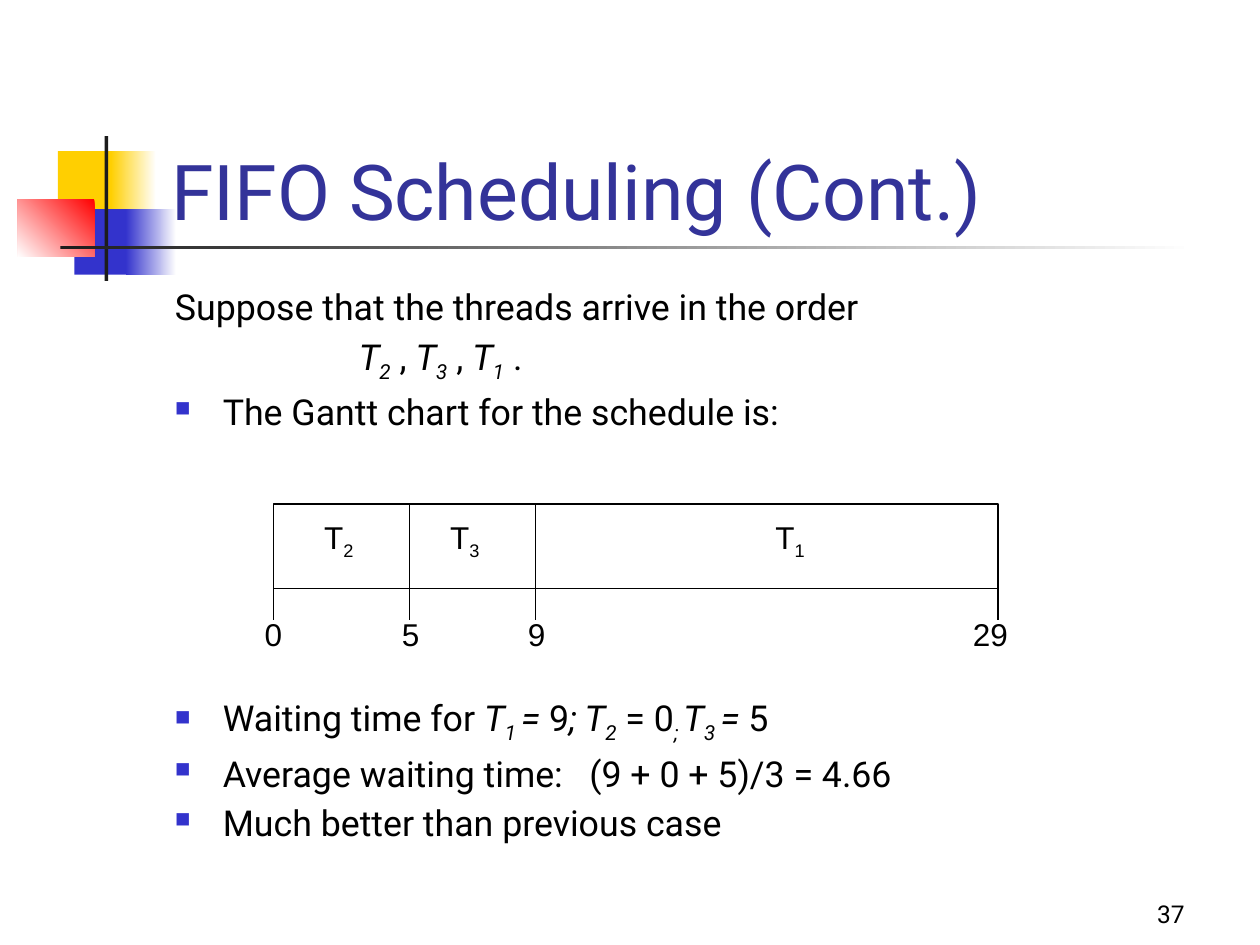
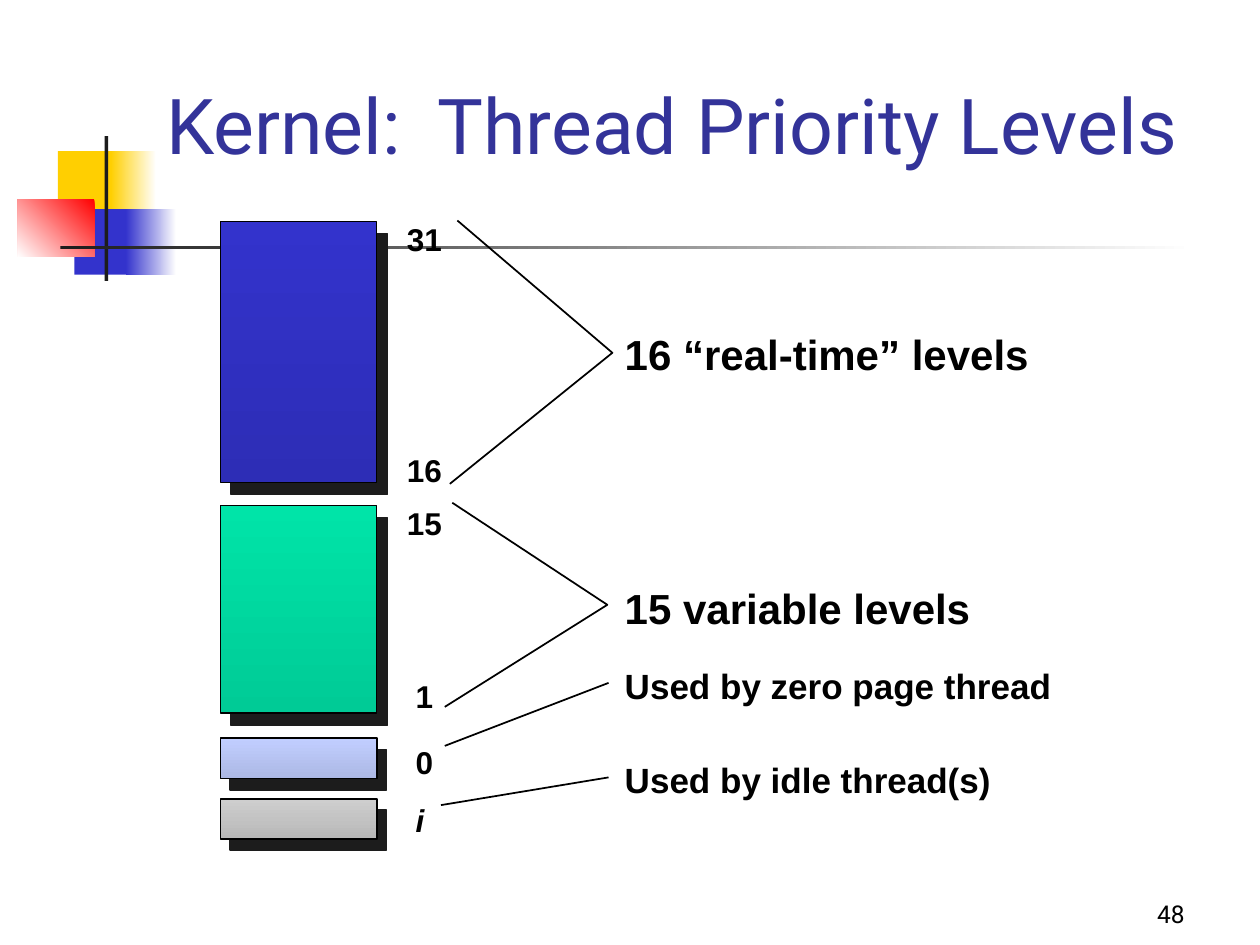
from pptx import Presentation
from pptx.dml.color import RGBColor
from pptx.enum.shapes import MSO_CONNECTOR as CONNECTOR, MSO_SHAPE as SHAPE
from pptx.enum.text import MSO_ANCHOR as ANCHOR, PP_ALIGN as ALIGN
from pptx.oxml.ns import qn
from pptx.util import Pt
from lxml.etree import SubElement

PX = 9144  # EMU per px, 100 px to the inch
COLORS = {
    "white": "FFFFFF", "black": "000000", "ink": "1C1C1C",
    "title": "333399", "blue": "3333CC", "yellow": "FFCF01", "red": "FF0000",
    "deep_blue": "2D2DB6", "green": "00E4A8", "deep_green": "00CB96",
    "sky": "C1CEFF", "deep_sky": "ACB8E4", "gray": "CECECE", "deep_gray": "B8B8B8",
}
ALIGNS = {"left": ALIGN.LEFT, "center": ALIGN.CENTER, "right": ALIGN.RIGHT}
ANCHORS = {"top": ANCHOR.TOP, "middle": ANCHOR.MIDDLE, "bottom": ANCHOR.BOTTOM}


def rgb(name):
    return RGBColor.from_string(COLORS[name])


def write(paragraph, text, font="Arial", size=18, color="black", bold=False, align="left"):
    """Fill a paragraph with a string or (text, flags) runs: i italic, s subscript."""
    paragraph.alignment = ALIGNS[align]
    for words, flags in [(text, "")] if isinstance(text, str) else text:
        run = paragraph.add_run()
        run.text = words
        run.font.name = font
        run.font.size = Pt(size)
        run.font.bold = bold
        run.font.italic = "i" in flags
        run.font.color.rgb = rgb(color)
        if "s" in flags:
            run.font._element.set("baseline", "-25000")


def thread(number, tail="", flags="i"):
    return [("T", flags), (f"{number}{tail}", flags + "s")]


class Deck:
    """Holds the shared style and the slide being built."""

    heading_font = "Roboto"

    def __init__(self, presentation):
        self.presentation = presentation
        self.slide = None

    def new_slide(self, title, number, title_at, title_anchor):
        self.slide = self.presentation.slides.add_slide(self.presentation.slide_layouts[6])
        self.decoration()
        self.text(title_at, title, font=self.heading_font, size=44,
                  color="title", anchor=title_anchor)
        self.text((742, 692, 208, 50), number, font=self.heading_font, size=14,
                  align="right", anchor="bottom")

    def decoration(self):
        self.box((46, 120, 48, 52), "yellow")
        self.box((88, 120, 36, 52), ("yellow", "white"), angle=0)
        self.box((59, 166, 46, 52), "blue")
        self.box((100, 166, 40, 52), ("blue", "white"), angle=0)
        self.box((14, 158, 61, 46), ("red", "white"), angle=135)
        self.box((83, 108, 3, 115), "ink")
        self.box((48, 195, 900, 3), ("ink", "white"), angle=0)

    def box(self, at, fill, angle=90, line=None, shadow=None):
        """A rectangle; fill is a colour or a pair running along the clockwise angle."""
        shape = self.slide.shapes.add_shape(SHAPE.RECTANGLE, *(value * PX for value in at))
        shape.shadow.inherit = False
        if isinstance(fill, str):
            shape.fill.solid()
            shape.fill.fore_color.rgb = rgb(fill)
        else:
            shape.fill.gradient()
            shape.fill.gradient_angle = (360 - angle) % 360
            for stop, name in zip(shape.fill.gradient_stops, fill):
                stop.color.rgb = rgb(name)
        self.outline(shape, line)
        if shadow:
            effects = shape._element.spPr.find(qn("a:effectLst"))
            outer = SubElement(effects, qn("a:outerShdw"), dist=str(Pt(shadow)),
                               dir=str(49 * 60000), algn="ctr", rotWithShape="0")
            SubElement(outer, qn("a:srgbClr"), val=COLORS["ink"])

    def outline(self, shape, width):
        if width is None:
            shape.line.fill.background()
        else:
            shape.line.color.rgb = rgb("black")
            shape.line.width = Pt(width)

    def line(self, start, end, width=1):
        connector = self.slide.shapes.add_connector(
            CONNECTOR.STRAIGHT, *(value * PX for value in start + end))
        self.outline(connector, width)
        SubElement(connector._element.spPr, qn("a:effectLst"))

    def bracket(self, top, tip, bottom):
        builder = self.slide.shapes.build_freeform(*top, scale=float(PX))
        builder.add_line_segments([tip, bottom], close=False)
        shape = builder.convert_to_shape()
        shape.shadow.inherit = False
        shape.fill.background()
        self.outline(shape, 1)

    def frame(self, at, anchor="top"):
        frame = self.slide.shapes.add_textbox(*(value * PX for value in at)).text_frame
        frame.word_wrap = True
        frame.vertical_anchor = ANCHORS[anchor]
        return frame

    def text(self, at, text, anchor="middle", **style):
        write(self.frame(at, anchor).paragraphs[0], text, **style)

    def body(self, at, items):
        """Paragraphs given as (text, left indent, bulleted, space before)."""
        frame = self.frame(at)
        for index, (text, indent, bulleted, before) in enumerate(items):
            paragraph = frame.add_paragraph() if index else frame.paragraphs[0]
            write(paragraph, text, font=self.heading_font, size=20.4)
            paragraph.space_before = Pt(before)
            properties = paragraph._p.get_or_add_pPr()
            properties.set("marL", str(indent * PX))
            properties.set("indent", str(-indent * PX if bulleted else 0))
            if bulleted:
                color = SubElement(properties, qn("a:buClr"))
                SubElement(color, qn("a:srgbClr"), val=COLORS["blue"])
                SubElement(properties, qn("a:buSzPct"), val="60000")
                SubElement(properties, qn("a:buChar"), char="■")


def fifo_slide(deck):
    deck.new_slide("FIFO Scheduling (Cont.)", "37", (126, 67, 852, 125), "bottom")

    # Explanation, with room for the Gantt chart in the middle
    order = [*thread(2), (" , ", ""), *thread(3), (" , ", ""), *thread(1), (" .", "")]
    waiting = [("Waiting time for ", ""), *thread(1, " "), ("=", "i"), (" 9", ""),
               ("; ", "i"), *thread(2), (" = 0", ""), ("; ", "is"),
               *thread(3, " "), ("= ", "i"), ("5", "")]
    deck.body((129, 221, 850, 450), [
        ("Suppose that the threads arrive in the order", 0, False, 0),
        (order, 146, False, 4),
        ("The Gantt chart for the schedule is:", 38, True, 4),
        (waiting, 38, True, 150),
        ("Average waiting time:   (9 + 0 + 5)/3 = 4.66", 38, True, 4),
        ("Much better than previous case", 38, True, 4),
    ])

    # Gantt chart: bar, ticks with times, thread names
    top, bottom, tick_end = 400, 467, 492
    times = [("0", 217, 217), ("5", 325, 326), ("9", 425, 426), ("29", 792, 786)]
    deck.box((217, top, 575, bottom - top), "white", line=0.75)
    for time, x, label_center in times:
        deck.line((x, top), (x, tick_end), 0.75)
        deck.text((label_center - 30, 483, 60, 40), time, align="center")
    for number, center in [(2, 269), (3, 369), (1, 627)]:
        deck.text((center - 30, 406, 60, 44), thread(number, flags=""), align="center")


def priority_slide(deck):
    deck.new_slide("Kernel:  Thread Priority Levels", "48", (122, 36, 852, 125), "middle")

    # Priority blocks
    for top, height, fill, line, shadow in [
        (176, 207, ("blue", "deep_blue"), 0.75, 9.2),
        (401, 165, ("green", "deep_green"), 0.75, 9.2),
        (586, 32, ("sky", "deep_sky"), 1, 8.5),
        (634, 32, ("gray", "deep_gray"), 1, 8.5),
    ]:
        deck.box((175, top, 124, height), fill, line=line, shadow=shadow)

    # Level numbers beside the blocks
    for level, left, center in [("31", 313, 190), ("16", 313, 373), ("15", 313, 415),
                                ("1", 320, 552), ("0", 320, 605),
                                ([("i", "i")], 320, 651)]:
        deck.text((left, center - 20, 58, 40), level, bold=True)

    # Brackets and pointers
    deck.bracket((363, 175), (486, 280), (357, 384))
    deck.bracket((359, 399), (482, 480), (353, 561))
    deck.line((353, 592), (483, 542))
    deck.line((350, 639), (483, 617))

    # Descriptions
    for text, center, size in [("16 “real-time” levels", 281, 24),
                               ("15 variable levels", 482, 24),
                               ("Used by zero page thread", 544, 20),
                               ("Used by idle thread(s)", 619, 20)]:
        deck.text((486, center - 22, 442, 44), text, size=size, bold=True)


def main():
    presentation = Presentation()
    presentation.slide_width = 1000 * PX
    presentation.slide_height = 750 * PX
    deck = Deck(presentation)
    fifo_slide(deck)
    priority_slide(deck)
    presentation.save("out.pptx")


if __name__ == "__main__":
    main()
